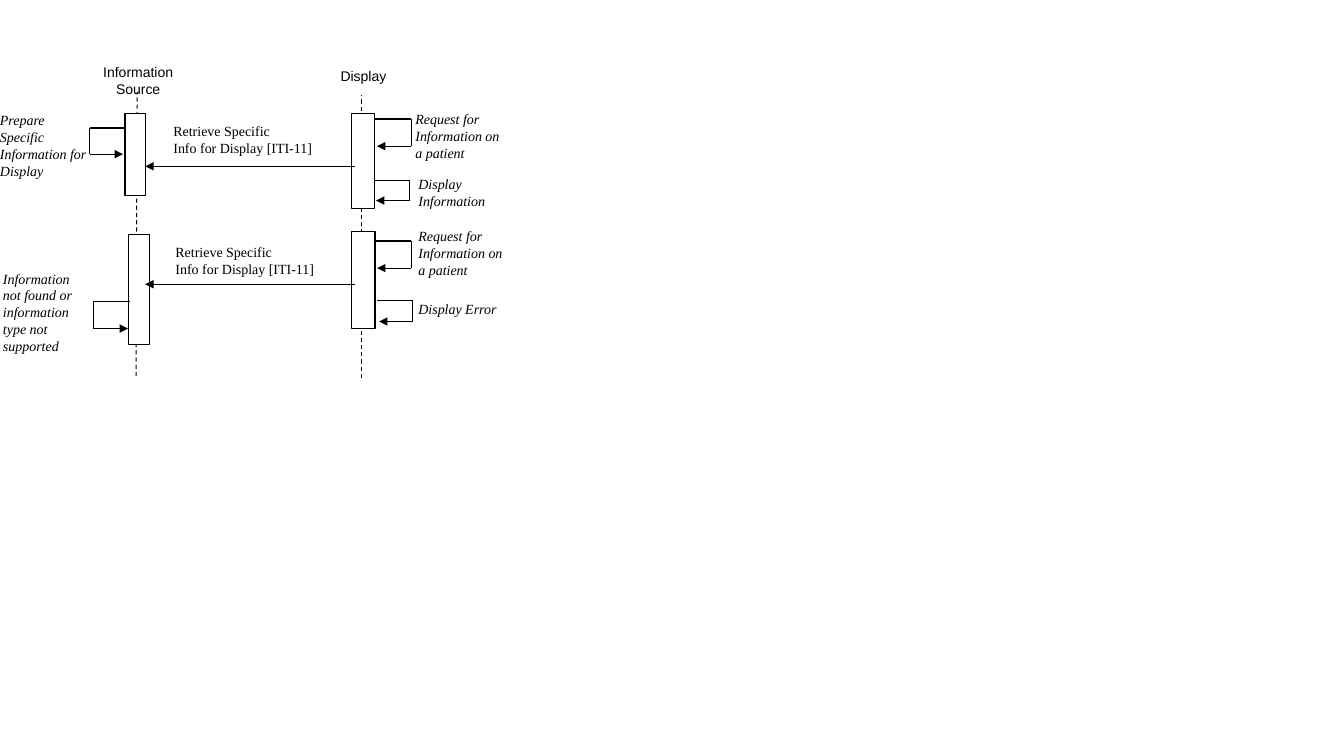
"""Sequence diagram of an information source answering display requests."""
from lxml import etree
from pptx import Presentation
from pptx.dml.color import RGBColor
from pptx.enum.dml import MSO_LINE
from pptx.enum.shapes import MSO_CONNECTOR, MSO_SHAPE
from pptx.enum.text import MSO_ANCHOR, PP_ALIGN
from pptx.oxml.ns import qn
from pptx.util import Inches, Pt

COLORS = {"ink": "000000", "paper": "FFFFFF"}
INK = RGBColor.from_string(COLORS["ink"])
PAPER = RGBColor.from_string(COLORS["paper"])

deck = Presentation()
deck.slide_width, deck.slide_height = Inches(13.33), Inches(7.5)
slide = deck.slides.add_slide(deck.slide_layouts[6])


def add_label(box, lines, font="Times New Roman", italic=False, align=PP_ALIGN.LEFT, top=0):
    label = slide.shapes.add_textbox(*map(Inches, box))
    label.fill.solid()
    label.fill.fore_color.rgb = PAPER
    frame = label.text_frame
    frame.word_wrap = True
    frame.vertical_anchor = MSO_ANCHOR.TOP
    frame.margin_left = frame.margin_right = frame.margin_bottom = 0
    frame.margin_top = Inches(top)
    paragraph = frame.paragraphs[0]
    paragraph.alignment = align
    for number, line in enumerate(lines):
        if number:
            paragraph.add_line_break()
        run = paragraph.add_run()
        run.text = line
        run.font.name, run.font.size = font, Pt(10)
        run.font.italic = italic
        run.font.color.rgb = INK


def add_line(start, end, width=0.75, dashed=False, arrow=False):
    line = slide.shapes.add_connector(MSO_CONNECTOR.STRAIGHT, *map(Inches, start + end))
    line.line.color.rgb = INK
    line.line.width = Pt(width)
    if dashed:
        line.line.dash_style = MSO_LINE.DASH
    if arrow:
        etree.SubElement(line.line._get_or_add_ln(), qn("a:tailEnd"), type="triangle")
    etree.SubElement(line._element.spPr, qn("a:effectLst"))


participants = [
    ("Information Source", (0.85, 0.45, 1.04, 0.35), (1.35, 3.73), (1.36, 0.91)),
    ("Display", (3.09, 0.5, 1.03, 0.35), (3.59, 3.75), (3.59, 0.94)),
]
for name, box, foot, head in participants:
    add_label(box, [name], font="Arial", align=PP_ALIGN.CENTER, top=0.18)
    add_line(foot, head, dashed=True)

request = ["Request for", "Information on a patient"]
steps = [
    ((4.12, 1.1, 0.86, 0.48), request),
    ((0, 1.11, 0.86, 0.72), ["Prepare Specific", "Information for Display"]),
    ((4.15, 1.74, 0.86, 0.33), ["Display Information"]),
    ((4.15, 2.26, 0.86, 0.51), request),
    ((0.03, 2.68, 0.86, 0.9), ["Information not found or information type not supported"]),
    ((4.15, 2.98, 0.86, 0.21), ["Display Error"]),
]
for box, lines in steps:
    add_label(box, lines, italic=True)

activations = [
    (1.24, 1.13, 0.2, 0.81),
    (3.49, 1.13, 0.22, 0.94),
    (1.27, 2.33, 0.21, 1.09),
    (3.49, 2.3, 0.23, 0.96),
]
for box in activations:
    activation = slide.shapes.add_shape(MSO_SHAPE.RECTANGLE, *map(Inches, box))
    activation.shadow.inherit = False
    activation.fill.solid()
    activation.fill.fore_color.rgb = PAPER
    activation.line.color.rgb = INK
    activation.line.width = Pt(0.75)

messages = [((1.72, 1.22, 1.54, 0.4), 1.65), ((1.74, 2.42, 1.49, 0.38), 2.82)]
for box, arrow_y in messages:
    add_label(box, ["Retrieve Specific", "Info for Display [ITI-11]"])
    add_line((3.52, arrow_y), (1.44, arrow_y), arrow=True)

self_calls = [
    (3.72, 4.08, 3.74, 2.39, 2.66),
    (3.72, 4.08, 3.74, 1.18, 1.45),
    (1.29, 0.93, 1.27, 2.99, 3.26),
    (1.24, 0.89, 1.22, 1.27, 1.53),
    (3.71, 4.06, 3.73, 1.79, 1.99),
    (3.74, 4.09, 3.76, 2.98, 3.19),
]
for leave_x, turn_x, return_x, top, bottom in self_calls:
    add_line((leave_x, top), (turn_x, top), width=1)
    add_line((turn_x, top), (turn_x, bottom), width=1)
    add_line((turn_x, bottom), (return_x, bottom), arrow=True)

deck.save("out.pptx")
